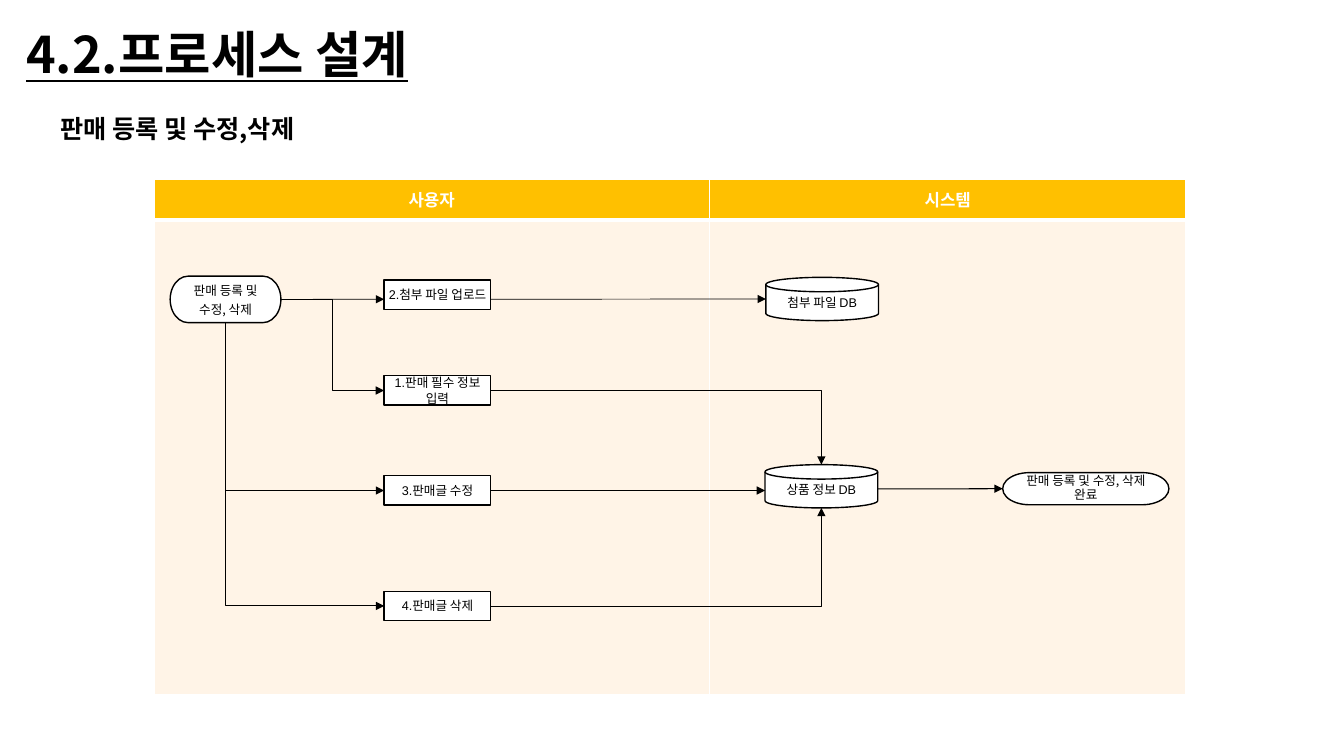
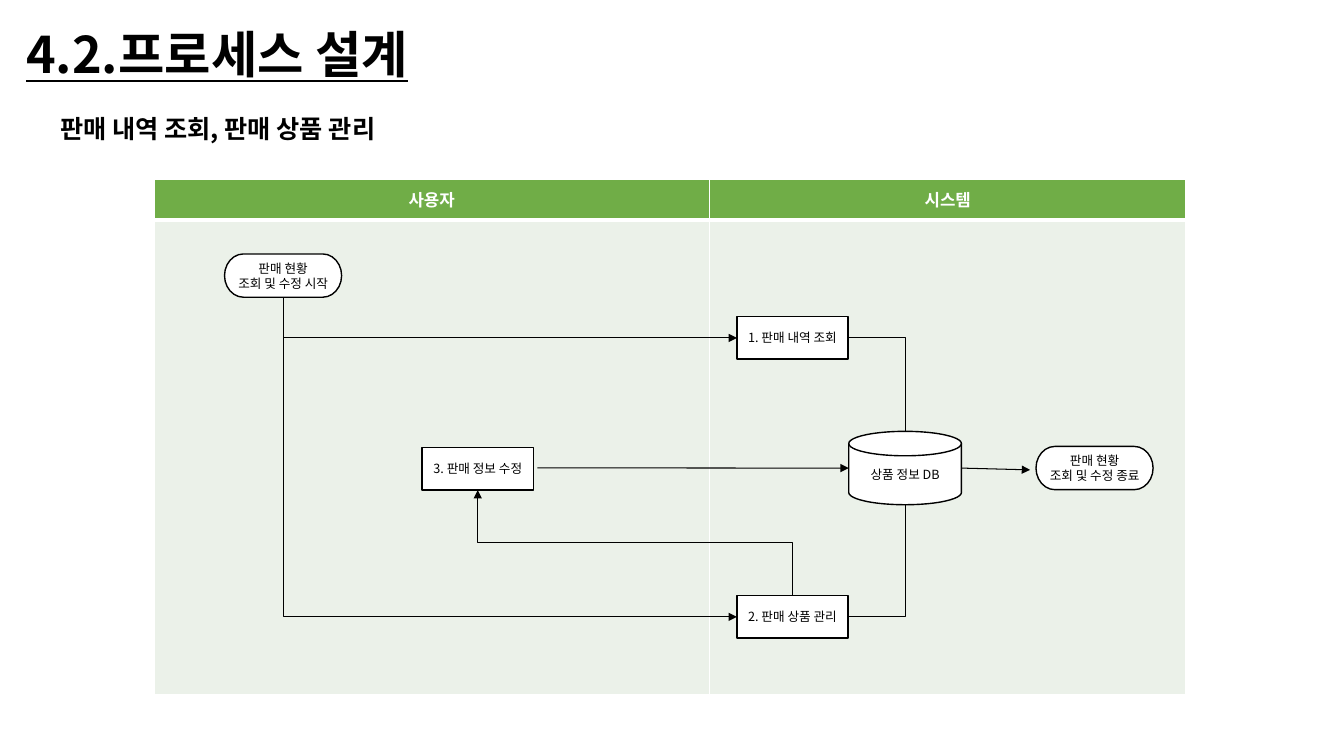
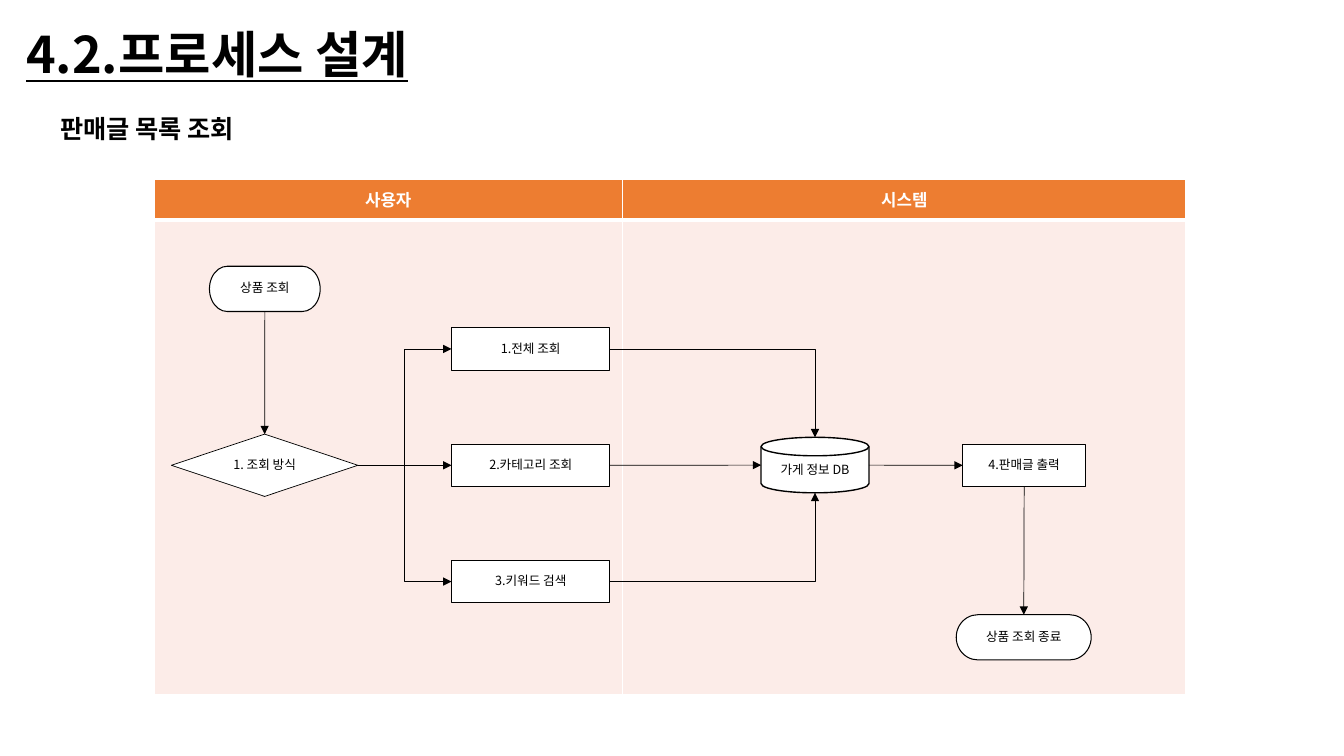
from dataclasses import dataclass
from typing import Optional, Union

from lxml import etree
from pptx import Presentation
from pptx import util as u
from pptx.dml.color import RGBColor
from pptx.enum import shapes, text
from pptx.oxml.ns import qn

KOREAN, LATIN = "Noto Sans CJK KR", "Arial"
BLACK, WHITE = "000000", "FFFFFF"
TITLE = "4.2.프로세스 설계"
LANES = ("사용자", "시스템")
LANE_LEFT, LANE_TOP = 3.88, 4.51
LANE_HEIGHTS = (1.04, 11.96)

TERMINAL = shapes.MSO_SHAPE.FLOWCHART_TERMINATOR
DATABASE = shapes.MSO_SHAPE.FLOWCHART_MAGNETIC_DISK
STEP = shapes.MSO_SHAPE.RECTANGLE
DECISION = shapes.MSO_SHAPE.DIAMOND

# Position of each side on the frame, and its connection site per shape kind
SIDES = {"top": (0.5, 0), "left": (0, 0.5), "bottom": (0.5, 1), "right": (1, 0.5)}
SITES = {"top": 0, "left": 1, "bottom": 2, "right": 3}
DATABASE_SITES = {"top": 1, "left": 2, "bottom": 3, "right": 4}
ALIGNED = 0.08


@dataclass(frozen=True)
class Node:
    """A step of the flow; lengths in cm, outline in points."""
    kind: shapes.MSO_SHAPE
    label: str
    left: float
    top: float
    width: float
    height: float
    outline: float = 1
    font: str = KOREAN
    spacing: float = 1
    gap: float = 0

    def side(self, name: str) -> tuple[float, float]:
        """Return the middle of one side."""
        across, down = SIDES[name]
        return self.left + across * self.width, self.top + down * self.height


End = Union[str, tuple[float, float]]


@dataclass(frozen=True)
class Link:
    """A line between two ends: "node.side" or a free point in cm."""
    start: End
    end: End
    weight: float = 0.5
    arrow: bool = True


@dataclass(frozen=True)
class Process:
    """One slide: subtitle, lane colours and widths, nodes and links."""
    subtitle: str
    header: str
    body: str
    lanes: tuple[float, float]
    nodes: dict[str, Node]
    links: list[Link]


def colour(value: str) -> RGBColor:
    """Turn a hex string into a colour."""
    return RGBColor.from_string(value)


def write_text(frame, content: str, *, size: float = 9, font: str = KOREAN,
               ink: str = BLACK, bold: bool = False, underline: bool = False,
               align=text.PP_ALIGN.CENTER, spacing: float = 1, gap: float = 0) -> None:
    """Fill a text frame, one paragraph per line of content."""
    for index, line in enumerate(content.split("\n")):
        paragraph = frame.paragraphs[0] if index == 0 else frame.add_paragraph()
        paragraph.alignment = align
        paragraph.line_spacing = spacing
        paragraph.space_before = paragraph.space_after = u.Pt(gap)
        run = paragraph.add_run()
        run.text = line
        run.font.size = u.Pt(size)
        run.font.name = font
        run.font.bold = bold
        run.font.underline = underline
        run.font.color.rgb = colour(ink)
        etree.SubElement(run.font._element, qn("a:ea"), typeface=KOREAN)


def add_heading(slide, content: str, left: float, top: float, width: float,
                height: float, **style) -> None:
    """Add a bold left-aligned heading."""
    box = slide.shapes.add_textbox(u.Cm(left), u.Cm(top), u.Cm(width), u.Cm(height))
    box.text_frame.word_wrap = True
    write_text(box.text_frame, content, bold=True, align=text.PP_ALIGN.LEFT, **style)


def set_borders(cell, bottom: float) -> None:
    """Give a cell white 1 pt borders and its own bottom weight."""
    properties = cell._tc.get_or_add_tcPr()
    for edge, weight in (("L", 1), ("R", 1), ("T", 1), ("B", bottom)):
        border = etree.SubElement(properties, qn(f"a:ln{edge}"), w=str(u.Pt(weight)))
        fill = etree.SubElement(border, qn("a:solidFill"))
        etree.SubElement(fill, qn("a:srgbClr"), val=WHITE)


def add_lanes(slide, process: Process) -> None:
    """Draw the two swim lanes as a table."""
    table = slide.shapes.add_table(
        2, 2, u.Cm(LANE_LEFT), u.Cm(LANE_TOP),
        u.Cm(sum(process.lanes)), u.Cm(sum(LANE_HEIGHTS))).table
    for row, height in zip(table.rows, LANE_HEIGHTS):
        row.height = u.Cm(height)
    for index, (name, width) in enumerate(zip(LANES, process.lanes)):
        table.columns[index].width = u.Cm(width)
        head, lane = table.cell(0, index), table.cell(1, index)
        for cell, fill, bottom in ((head, process.header, 3), (lane, process.body, 1)):
            set_borders(cell, bottom)
            cell.fill.solid()
            cell.fill.fore_color.rgb = colour(fill)
        head.vertical_anchor = text.MSO_ANCHOR.MIDDLE
        write_text(head.text_frame, name, size=12, ink=WHITE, bold=True)


def add_node(slide, node: Node):
    """Draw one white node with its label."""
    shape = slide.shapes.add_shape(node.kind, u.Cm(node.left), u.Cm(node.top),
                                   u.Cm(node.width), u.Cm(node.height))
    shape.shadow.inherit = False
    shape.fill.solid()
    shape.fill.fore_color.rgb = colour(WHITE)
    shape.line.color.rgb = colour(BLACK)
    shape.line.width = u.Pt(node.outline)
    frame = shape.text_frame
    frame.margin_left = frame.margin_right = u.Cm(0.05)
    frame.margin_top = frame.margin_bottom = 0
    frame.vertical_anchor = text.MSO_ANCHOR.MIDDLE
    frame.word_wrap = node.kind == STEP
    write_text(frame, node.label, font=node.font, spacing=node.spacing, gap=node.gap)
    return shape


def add_link(slide, link: Link, nodes: dict[str, Node], drawn: dict) -> None:
    """Draw a straight link, or a bent one attached to its nodes."""
    ends = [end.split(".") if isinstance(end, str) else None
            for end in (link.start, link.end)]
    (x1, y1), (x2, y2) = [nodes[end[0]].side(end[1]) if end else point
                          for end, point in zip(ends, (link.start, link.end))]
    bent = all(ends) and min(abs(x2 - x1), abs(y2 - y1)) > ALIGNED
    vertical = bent and ends[0][1] in ("top", "bottom")
    if vertical:  # the unrotated frame of a connector turned by 270 degrees
        middle_x, middle_y = (x1 + x2) / 2, (y1 + y2) / 2
        half_x, half_y = (y1 - y2) / 2, (x2 - x1) / 2
        x1, x2 = middle_x - half_x, middle_x + half_x
        y1, y2 = middle_y - half_y, middle_y + half_y
    kind = shapes.MSO_CONNECTOR.ELBOW if bent else shapes.MSO_CONNECTOR.STRAIGHT
    line = slide.shapes.add_connector(kind, u.Cm(x1), u.Cm(y1), u.Cm(x2), u.Cm(y2))
    line.line.color.rgb = colour(BLACK)
    line.line.width = u.Pt(link.weight)
    properties = line._element.spPr
    if link.arrow:
        etree.SubElement(properties.find(qn("a:ln")), qn("a:tailEnd"), type="triangle")
    etree.SubElement(properties, qn("a:effectLst"))
    if vertical:
        properties.find(qn("a:xfrm")).set("rot", "16200000")
    if bent:
        turns_once = (ends[0][1] in ("top", "bottom")) != (ends[1][1] in ("top", "bottom"))
        if turns_once:
            properties.find(qn("a:prstGeom")).set("prst", "bentConnector2")
        holder = line._element.find(".//" + qn("p:cNvCxnSpPr"))
        for tag, (name, side) in zip(("a:stCxn", "a:endCxn"), ends):
            sites = DATABASE_SITES if nodes[name].kind == DATABASE else SITES
            etree.SubElement(holder, qn(tag), id=str(drawn[name].shape_id),
                             idx=str(sites[side]))


def add_process(deck, process: Process) -> None:
    """Build one process slide."""
    slide = deck.slides.add_slide(deck.slide_layouts[6])
    add_lanes(slide, process)
    add_heading(slide, TITLE, 0.41, 0.46, 14, 1.8, size=36, underline=True)
    add_heading(slide, process.subtitle, 1.27, 2.72, 18.7, 1.02, size=18)
    drawn = {name: add_node(slide, node) for name, node in process.nodes.items()}
    for link in process.links:
        add_link(slide, link, process.nodes, drawn)


def sale_step(label: str, top: float) -> Node:
    """A user step of the sale registration."""
    return Node(STEP, label, 9.68, top, 2.69, 0.74, font=LATIN)


def history_step(label: str, left: float, top: float) -> Node:
    """A step of the sales history."""
    return Node(STEP, label, left, top, 2.8, 1.07)


def search_step(label: str, row: int, left: float = 11.38, width: float = 3.99) -> Node:
    """A step of the list search, on one of three equal rows."""
    return Node(STEP, label, left, 8.26 + 2.93 * row, width, 1.07, 0.5, spacing=0.9)


REGISTER = Process(
    "판매 등록 및 수정,삭제", "FFC000", "FFF4E7", (14, 12.01),
    {
        "start": Node(TERMINAL, "판매 등록 및\n수정, 삭제", 4.29, 6.96, 2.79, 1.17,
                      spacing=1.1, gap=0.9),
        "product": Node(DATABASE, "상품 정보 DB", 19.28, 11.71, 2.84, 1.09, font=LATIN),
        "enter": sale_step("1.판매 필수 정보 입력", 9.47),
        "upload": sale_step("2.첨부 파일 업로드", 7.06),
        "edit": sale_step("3.판매글 수정", 11.99),
        "delete": sale_step("4.판매글 삭제", 14.9),
        "end": Node(TERMINAL, "판매 등록 및 수정, 삭제\n완료", 25.27, 11.91, 4.19, 0.81,
                    spacing=0.9),
        "files": Node(DATABASE, "첨부 파일 DB", 19.3, 6.99, 2.84, 1.09, font=LATIN),
    },
    [
        Link("start.bottom", "edit.left", 0.75),
        Link("start.bottom", "delete.left", 0.75),
        Link("edit.right", (19.28, 12.36), 0.75),
        Link((22.12, 12.32), "end.left", 0.75),
        Link("start.right", "enter.left"),
        Link("start.right", (9.68, 7.54)),
        Link((12.37, 7.54), "files.left"),
        Link("enter.right", "product.top"),
        Link("delete.right", "product.bottom"),
    ])

HISTORY = Process(
    "판매 내역 조회, 판매 상품 관리", "70AD47", "EBF1E9", (14, 12.01),
    {
        "product": Node(DATABASE, "상품 정보 DB", 21.39, 10.87, 2.84, 1.85),
        "lookup": history_step("1. 판매 내역 조회", 18.57, 7.98),
        "manage": history_step("2. 판매 상품 관리", 18.57, 15.01),
        "edit": history_step("3. 판매 정보 수정", 10.64, 11.28),
        "start": Node(TERMINAL, "판매 현황\n조회 및 수정 시작", 5.66, 6.4, 2.95, 1.09),
        "end": Node(TERMINAL, "판매 현황\n조회 및 수정 종료", 26.11, 11.25, 2.95, 1.09),
    },
    [
        Link("lookup.right", "product.top", 0.75, arrow=False),
        Link("manage.right", "product.bottom", 0.75, arrow=False),
        Link("start.bottom", "lookup.left", 0.75),
        Link("start.bottom", "manage.left", 0.75),
        Link((13.54, 11.79), "product.left", 0.75),
        Link("product.right", (25.96, 11.84), 0.75),
        Link("manage.top", "edit.bottom"),
    ])

SEARCH = Process(
    "판매글 목록 조회", "ED7D31", "FCECE8", (11.81, 14.2),
    {
        "start": Node(TERMINAL, "상품 조회", 5.28, 6.71, 2.79, 1.14, 0.75, LATIN, 0.9),
        "shop": Node(DATABASE, "가게 정보 DB", 19.18, 11.02, 2.72, 1.4),
        "print": search_step("4.판매글 출력", 1, 24.26, 3.1),
        "method": Node(DECISION, "1. 조회 방식", 4.32, 10.94, 4.7, 1.57, 0.5, spacing=0.9),
        "all": search_step("1.전체 조회", 0),
        "category": search_step("2.카테고리 조회", 1),
        "keyword": search_step("3.키워드 검색", 2),
        "end": Node(TERMINAL, "상품 조회 종료", 24.1, 15.49, 3.4, 1.14, 0.75, LATIN, 0.9),
    },
    [
        Link("start.bottom", "method.top"),
        *(Link("method.right", f"{way}.left") for way in ("all", "category", "keyword")),
        Link("all.right", "shop.top"),
        Link("category.right", "shop.left"),
        Link("keyword.right", "shop.bottom"),
        Link("shop.right", "print.left"),
        Link("print.bottom", "end.top"),
    ])


def main() -> None:
    """Build and save the deck."""
    deck = Presentation()
    deck.slide_width, deck.slide_height = u.Cm(33.87), u.Cm(19.05)
    for process in (REGISTER, HISTORY, SEARCH):
        add_process(deck, process)
    deck.save("out.pptx")


main()
